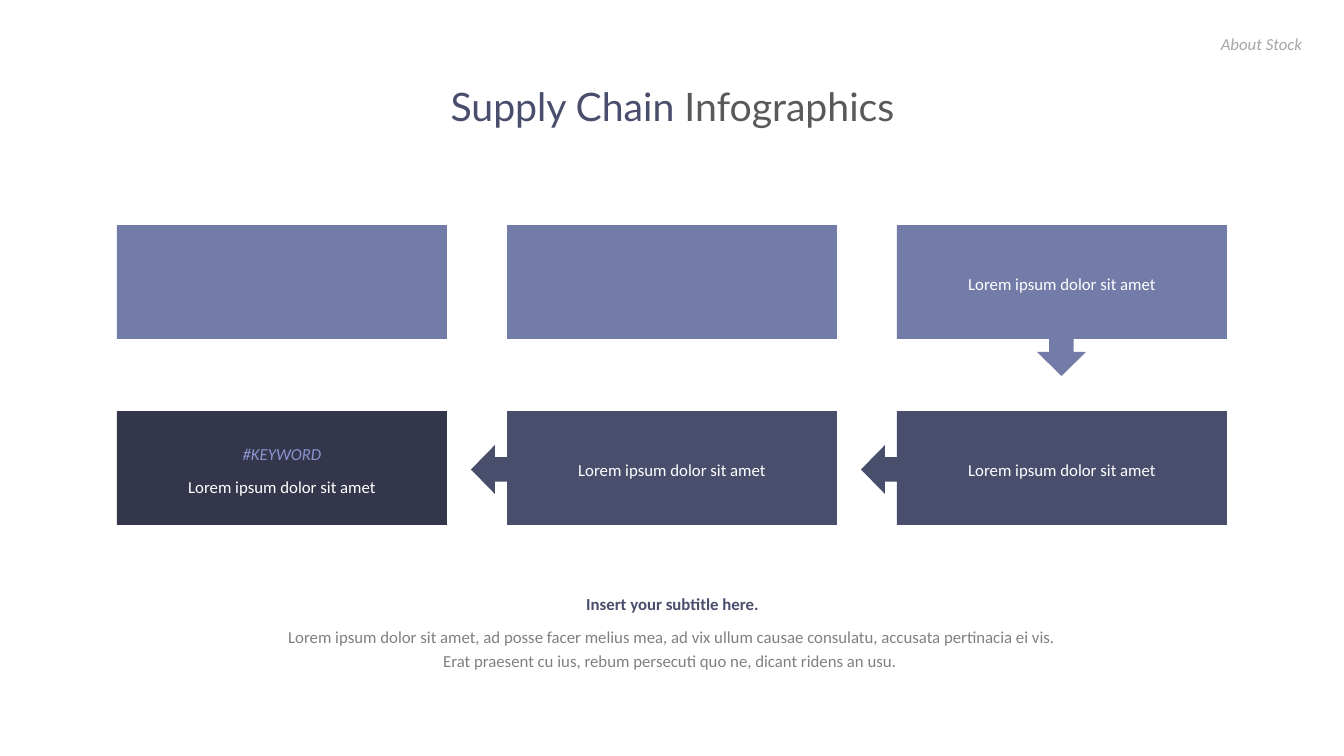
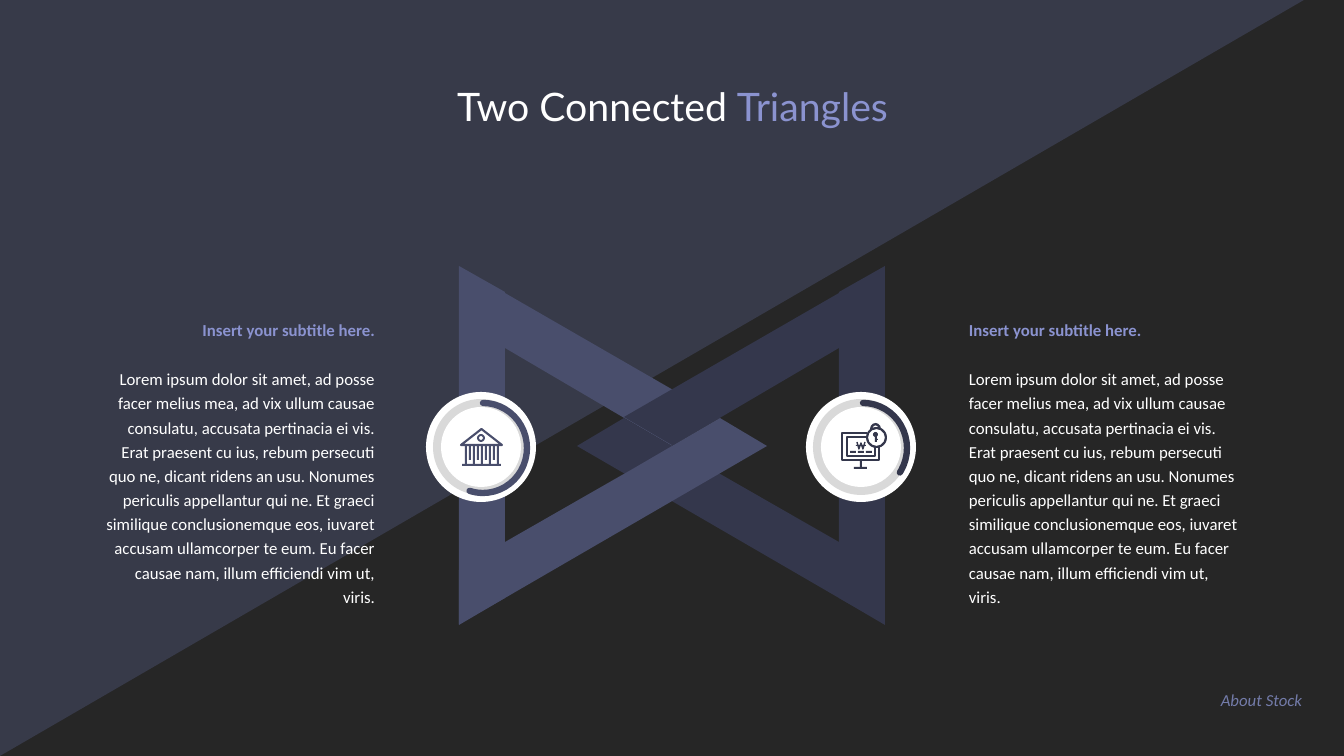
from lxml.etree import SubElement
from pptx import Presentation
from pptx.dml.color import RGBColor
from pptx.enum.shapes import MSO_SHAPE as SHAPE
from pptx.enum.text import MSO_ANCHOR as ANCHOR, PP_ALIGN as ALIGN
from pptx.oxml.ns import qn
from pptx.util import Pt

WIDTH, HEIGHT = 1344, 756
PX = 12192000 / WIDTH

WHITE, GRAY, RING, INK = "FFFFFF", "808080", "D9D9D9", "262626"
NIGHT, INDIGO, SLATE, LILAC = "34374C", "494E6C", "737BA9", "8B93D0"

LABEL = "Lorem ipsum dolor sit amet"
SUBTITLE = "Insert your subtitle here."
SENTENCES = [
    "Lorem ipsum dolor sit amet, ad posse facer melius mea, "
    "ad vix ullum causae consulatu, accusata pertinacia ei vis.",
    "Erat praesent cu ius, rebum persecuti quo ne, dicant ridens an usu. ",
]
BODY = " ".join(SENTENCES) + (
    "Nonumes periculis appellantur qui ne. Et graeci similique conclusionemque eos, "
    "iuvaret accusam ullamcorper te eum. Eu facer causae nam, illum efficiendi vim ut, viris."
)


def rgb(color):
    return RGBColor.from_string(color)


def emu(*lengths):
    return [round(n * PX) for n in lengths]


class Deck:
    font, size, spacing = "Calibri", 12, 1.2
    title_font, title_size = "Lato", 28

    def __init__(self):
        self.prs = Presentation()
        self.prs.slide_width, self.prs.slide_height = emu(WIDTH, HEIGHT)

    def slide(self, background):
        self.s = self.prs.slides.add_slide(self.prs.slide_layouts[6])
        self.shapes = self.s.shapes
        fill = self.s.background.fill
        fill.solid()
        fill.fore_color.rgb = rgb(background)

    def group(self):
        self.shapes = self.s.shapes.add_group_shape().shapes

    def paint(self, sp, fill=None, line=None, width=1.5):
        sp.shadow.inherit = False
        if fill:
            sp.fill.solid()
            sp.fill.fore_color.rgb = rgb(fill)
        else:
            sp.fill.background()
        if line:
            sp.line.color.rgb = rgb(line)
            sp.line.width = Pt(width)
        else:
            sp.line.fill.background()
        return sp

    def shape(self, kind, x, y, w, h, fill=None, line=None, width=1.5, adj=None):
        sp = self.shapes.add_shape(kind, *emu(x, y, w, h))
        for i, value in (adj or {}).items():
            sp.adjustments[i] = value
        return self.paint(sp, fill, line, width)

    def rect(self, x, y, w, h, fill):
        return self.shape(SHAPE.RECTANGLE, x, y, w, h, fill)

    def circle(self, cx, cy, d, fill):
        return self.shape(SHAPE.OVAL, cx - d // 2, cy - d // 2, d, d, fill)

    def polygon(self, points, fill):
        builder = self.shapes.build_freeform(*points[0], scale=PX)
        builder.add_line_segments(points[1:], close=True)
        return self.paint(builder.convert_to_shape(), fill)

    def polyline(self, points, line, width=1.5):
        builder = self.shapes.build_freeform(*points[0], scale=PX)
        builder.add_line_segments(points[1:], close=False)
        return self.paint(builder.convert_to_shape(), None, line, width)

    def fill_text(self, tf, lines, align, color, bold=False, italic=False):
        tf.word_wrap = True
        tf.text = "\n".join(lines)
        for p in tf.paragraphs:
            p.alignment = align
            p.line_spacing = self.spacing
            for r in p.runs:
                self.style(r, self.font, self.size, color)
                r.font.bold, r.font.italic = bold, italic

    def style(self, r, font, size, color):
        r.font.name, r.font.size = font, Pt(size)
        r.font.color.rgb = rgb(color)

    def text(self, x, y, w, h, lines, align, color, **style):
        tf = self.s.shapes.add_textbox(*emu(x, y, w, h)).text_frame
        self.fill_text(tf, lines, align, color, **style)

    def title(self, *parts):
        tf = self.s.shapes.add_textbox(*emu(93, 77, 1159, 114)).text_frame
        tf.word_wrap = True
        p = tf.paragraphs[0]
        p.alignment = ALIGN.CENTER
        for words, color in parts:
            r = p.add_run()
            r.text = words
            self.style(r, self.title_font, self.title_size, color)

    def tag(self, y, color):
        self.text(891, y, 421, 33, ["About Stock"], ALIGN.RIGHT, color, italic=True)

    def card(self, x, y, fill, lines=()):
        sp = self.rect(x, y, 330, 114, fill)
        if lines:
            tf = sp.text_frame
            tf.vertical_anchor = ANCHOR.MIDDLE
            self.fill_text(tf, lines, ALIGN.CENTER, WHITE)
        return sp

    def badge(self, cx, cy, color, end):
        self.group()
        for d, fill in ((110, WHITE), (96, RING), (80, WHITE)):
            self.circle(cx, cy, d, fill)
        arc = self.shape(SHAPE.ARC, cx - 42, cy - 44, 88, 90, None, color, 4.5,
                         {0: 162, 1: end})
        arc.element.spPr.find(qn("a:ln")).set("cap", "rnd")


def supply_chain(deck):
    deck.slide(WHITE)
    deck.title(("Supply Chain ", INDIGO), ("Infographics", "595959"))
    left, middle, right = (117 + 390 * i for i in range(3))
    top, bottom = 225, 411

    for x, lines in ((left, ()), (middle, ()), (right, [LABEL])):
        deck.card(x, top, SLATE, lines)
    deck.shape(SHAPE.DOWN_ARROW, right + 140, top + 103, 49, 48, SLATE)

    for x in (right, middle):
        deck.card(x, bottom, INDIGO, [LABEL])
        deck.shape(SHAPE.LEFT_ARROW, x - 36, bottom + 34, 48, 49, INDIGO)

    keyword, label = deck.card(left, bottom, NIGHT, ["#KEYWORD", LABEL]).text_frame.paragraphs
    keyword.runs[0].font.italic = True
    keyword.runs[0].font.color.rgb = rgb(LILAC)
    label.space_before = Pt(6)

    deck.text(462, 585, 421, 33, [SUBTITLE], ALIGN.CENTER, INDIGO, bold=True)
    deck.text(269, 618, 806, 57, SENTENCES, ALIGN.CENTER, GRAY)
    deck.tag(25, "A6A6A6")


def bank_icon(deck, color):
    deck.group()
    deck.shape(SHAPE.ISOSCELES_TRIANGLE, 461, 429, 41, 16, None, color)
    deck.shape(SHAPE.DONUT, 477, 434, 8, 8, color, adj={0: 0.25})
    deck.rect(462, 464, 39, 2, color)
    for first, count, h in ((465, 5, 18), (469, 4, 14)):
        for i in range(count):
            deck.rect(first + 8 * i, 446, 2, h, color)


def secure_screen_icon(deck, color):
    deck.group()
    deck.polyline([(867, 433), (842, 433), (842, 460), (879, 460), (879, 447)], color)
    deck.polyline([(866, 437), (847, 437), (847, 456), (875, 456), (875, 447)], color)
    deck.polyline([(857, 442), (859, 449), (861, 443), (863, 449), (865, 442)], color, 1)
    deck.rect(856, 445, 10, 1, color)
    deck.shape(SHAPE.BLOCK_ARC, 870, 423, 11, 12, color, adj={2: 0.22})
    deck.shape(SHAPE.DONUT, 866, 427, 21, 21, color, adj={0: 0.1})
    deck.shape(SHAPE.OVAL, 873, 432, 5, 5, color)
    for box in ((875, 436, 2, 6), (876, 439, 2, 1), (860, 460, 2, 8), (854, 467, 13, 2)):
        deck.rect(*box, color)
    for i in range(3):
        deck.rect(850 + 8 * i, 451, 6, 2, color)


def connected_triangles(deck):
    deck.slide(INK)
    corner = deck.shape(SHAPE.RIGHT_TRIANGLE, 0, 0, 1304, HEIGHT, INDIGO)
    corner.element.spPr.get_or_add_xfrm().set("flipV", "1")
    tint = corner.element.spPr.find(qn("a:solidFill")).find(qn("a:srgbClr"))
    SubElement(tint, qn("a:alpha")).set("val", "50000")
    deck.title(("Two Connected ", WHITE), ("Triangles", LILAC))

    side = [(459, 266), (459, 625), (505, 598), (505, 292)]
    upper = [(505, 293), (505, 348), (672, 446), (636, 466), (720, 417)]
    lower = [(720, 418), (636, 467), (505, 542), (459, 570), (459, 624), (505, 598), (767, 446)]

    def left(points):
        deck.polygon(points, INDIGO)

    def right(points):
        deck.polygon([(WIDTH - x, y) for x, y in points], NIGHT)

    for draw, points in ((right, side), (left, upper), (right, upper),
                         (right, lower), (left, side), (left, lower)):
        draw(points)

    deck.badge(861, 447, NIGHT, 20.21)
    deck.badge(481, 447, INDIGO, 64.43)
    bank_icon(deck, INDIGO)
    secure_screen_icon(deck, NIGHT)

    for body_x, heading_x, align in ((959, 959, ALIGN.LEFT), (91, 29, ALIGN.RIGHT)):
        deck.text(heading_x, 311, 356, 33, [SUBTITLE], align, LILAC, bold=True)
        deck.text(body_x, 360, 294, 229, [BODY], align, WHITE)
    deck.tag(681, SLATE)


def main():
    deck = Deck()
    supply_chain(deck)
    connected_triangles(deck)
    deck.prs.save("out.pptx")


if __name__ == "__main__":
    main()
